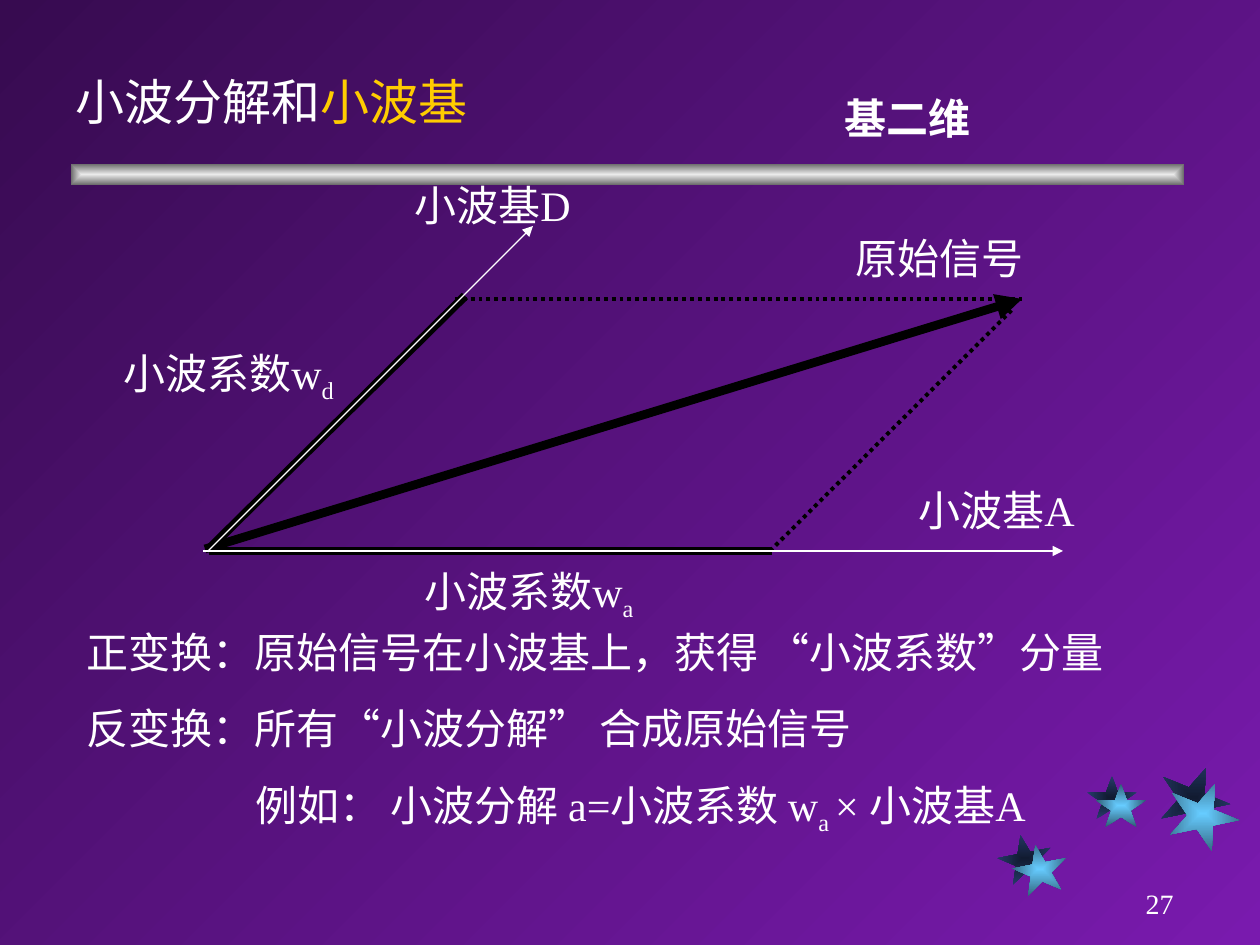
from pptx import Presentation, oxml
from pptx import util as u
from pptx.dml import color
from pptx.enum import dml, shapes, text
from pptx.oxml import ns

SCALE = 914400 / 126
WHITE, BLACK, GOLD = "FFFFFF", "000000", "FFCC00"
SHADE = ("111B31", "273C6B")
GLOW = ("66CCFF", "2F5E75")
STEEL = ("EAEAEA", "6B6B6B")
PLAIN = {"name": "Times New Roman", "size": u.Pt(24), "bold": False}
STRONG = {**PLAIN, "bold": True}
SMALL = {**PLAIN, "size": u.Pt(16)}
HEADING = {"name": "Arial", "size": u.Pt(28), "bold": False}


def px(*lengths):
    return [u.Emu(round(length * SCALE)) for length in lengths]


def rgb(value):
    return color.RGBColor.from_string(value)


deck = Presentation()
deck.slide_width, deck.slide_height = px(1260, 945)
page = deck.slides.add_slide(deck.slide_layouts[5])

backdrop = page.background.fill
backdrop.gradient()
backdrop.gradient_angle = 135
for stop, value in zip(backdrop.gradient_stops, ("791AAE", "370B50")):
    stop.color.rgb = rgb(value)

STAR, BAR = shapes.MSO_SHAPE.STAR_5_POINT, shapes.MSO_SHAPE.RECTANGLE
ornaments = [
    (STAR, (998, 835, 54, 47), 349, SHADE),
    (STAR, (1087, 776, 50, 43), 0, SHADE),
    (STAR, (1158, 766, 72, 63), 22, SHADE),
    (STAR, (1013, 845, 54, 48), 349, GLOW),
    (STAR, (1096, 784, 50, 43), 0, GLOW),
    (STAR, (1167, 782, 72, 63), 22, GLOW),
    (BAR, (71, 164, 1113, 21), 0, STEEL),
]
for kind, place, angle, blend in ornaments:
    ornament = page.shapes.add_shape(kind, *px(*place))
    ornament.rotation = angle
    ornament.shadow.inherit = False
    ornament.line.fill.background()
    ornament.fill.gradient()
    for stop, value in zip(ornament.fill.gradient_stops, blend):
        stop.color.rgb = rgb(value)
    linear = ornament._element.spPr.find(ns.qn("a:gradFill")).find(ns.qn("a:lin"))
    linear.getparent().replace(linear, oxml.parse_xml(
        f'<a:path {ns.nsdecls("a")} path="rect">'
        '<a:fillToRect l="50000" t="50000" r="50000" b="50000"/></a:path>'))

title = page.shapes.title
title.left, title.top, title.width, title.height = px(63, 53, 921, 84)
frame_format = {"word_wrap": True, "auto_size": text.MSO_AUTO_SIZE.NONE,
                "vertical_anchor": text.MSO_ANCHOR.BOTTOM}
for key, value in frame_format.items():
    setattr(title.text_frame, key, value)
para = title.text_frame.paragraphs[0]
para.alignment = text.PP_ALIGN.LEFT
for words, tint in (("小波分解和", WHITE), ("小波基", GOLD)):
    span = para.add_run()
    span.text = words
    span.font.color.rgb = rgb(tint)
    for key, value in HEADING.items():
        setattr(span.font, key, value)

SOLID, DOTTED = None, dml.MSO_LINE.ROUND_DOT
vectors = [
    ((205, 549), (1022, 299), BLACK, 5, SOLID, True),
    ((465, 296), (210, 548), BLACK, 5, SOLID, False),
    ((772, 551), (209, 551), BLACK, 5, SOLID, False),
    ((455, 299), (1022, 299), BLACK, 2.25, DOTTED, False),
    ((770, 551), (1012, 310), BLACK, 2.25, DOTTED, False),
    ((203, 551), (1063, 551), WHITE, 0.75, SOLID, True),
    ((208, 551), (533, 226), WHITE, 0.75, SOLID, True),
]
for start, end, tint, weight, dash, arrow in vectors:
    vector = page.shapes.add_connector(
        shapes.MSO_CONNECTOR.STRAIGHT, *px(*start, *end))
    vector.line.color.rgb = rgb(tint)
    vector.line.width = u.Pt(weight)
    if dash:
        vector.line.dash_style = dash
    if arrow:
        vector.line._get_or_add_ln().append(oxml.parse_xml(
            f'<a:tailEnd {ns.nsdecls("a")} type="triangle"/>'))
    vector._element.spPr.append(
        oxml.parse_xml(f'<a:effectLst {ns.nsdecls("a")}/>'))

LEFT, CENTER, RIGHT = (
    text.PP_ALIGN.LEFT, text.PP_ALIGN.CENTER, text.PP_ALIGN.RIGHT)
TOP, MIDDLE = text.MSO_ANCHOR.TOP, text.MSO_ANCHOR.MIDDLE
body = [
    (0, ["正变换：原始信号在小波基上，获得 “小波系数”分量"]),
    (0, ["反变换：所有“小波分解” 合成原始信号"]),
    (169, ["例如： 小波分解 a=小波系数 w", "a ", "× 小波基A"]),
]
labels = [
    ((402, 173, 231, 63), [(0, ["小波基D"])], PLAIN, LEFT, TOP),
    ((906, 478, 231, 63), [(0, ["小波基A"])], PLAIN, LEFT, TOP),
    ((843, 226, 231, 63), [(0, ["原始信号"])], PLAIN, LEFT, TOP),
    ((111, 341, 262, 70), [(0, ["小波系数w", "d"])], PLAIN, LEFT, TOP),
    ((412, 559, 262, 70), [(0, ["小波系数w", "a"])], PLAIN, LEFT, TOP),
    ((74, 620, 1050, 223), body, PLAIN, LEFT, TOP),
    ((721, 86, 373, 63), [(0, ["基二维"])], STRONG, CENTER, TOP),
    ((987, 872, 199, 63), [(0, ["27"])], SMALL, RIGHT, MIDDLE),
]
for place, lines, font_format, align, anchor in labels:
    box = page.shapes.add_textbox(*px(*place))
    frame = box.text_frame
    frame.word_wrap = True
    frame.vertical_anchor = anchor
    for row, (indent, pieces) in enumerate(lines):
        para = frame.add_paragraph() if row else frame.paragraphs[0]
        para.alignment = align
        para.space_before = u.Pt(15 if row else 0)
        if indent:
            para._p.get_or_add_pPr().set("marL", str(px(indent)[0]))
        for order, words in enumerate(pieces):
            span = para.add_run()
            span.text = words
            span.font.color.rgb = rgb(WHITE)
            for key, value in font_format.items():
                setattr(span.font, key, value)
            if order == 1:
                span._r.get_or_add_rPr().set("baseline", "-25000")

deck.save("out.pptx")
